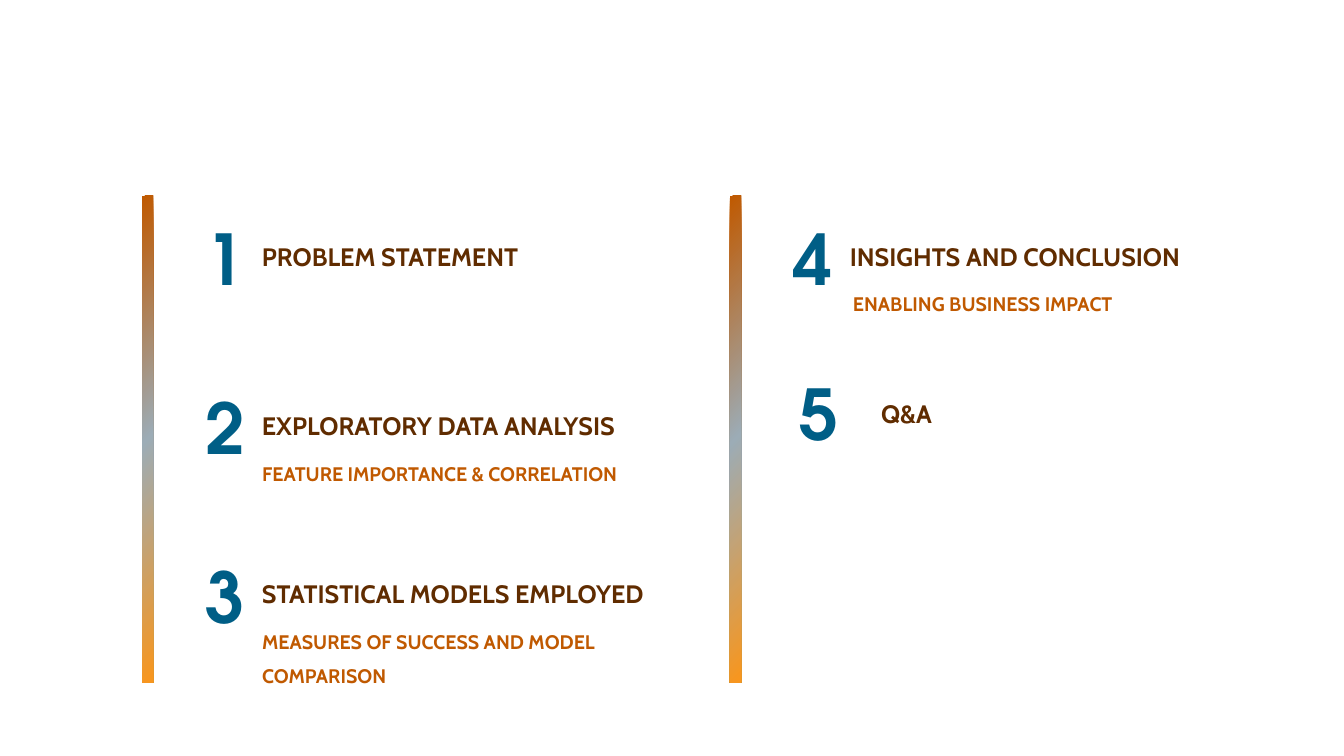
from copy import deepcopy
from dataclasses import dataclass

from pptx import Presentation
from pptx.dml.color import RGBColor
from pptx.enum.shapes import MSO_SHAPE
from pptx.enum.text import MSO_ANCHOR, MSO_AUTO_SIZE
from pptx.oxml.ns import qn
from pptx.slide import Slide
from pptx.util import Inches, Pt

BLUE, BROWN, ORANGE = "005E86", "602C00", "C05900"
BAR_STOPS = [(0, "C05900"), (50, "9CACB6"), (99, "F7961F"), (100, "F7961F")]
BAR_LEFTS = (1.41, 7.24)


@dataclass(frozen=True)
class TextStyle:
    font: str
    size: int
    color: str
    inset_x: float = 0.1
    inset_y: float = 0.05
    anchor: MSO_ANCHOR = MSO_ANCHOR.TOP
    line_spacing: float = 1.0


NUMBER = TextStyle("TeX Gyre Adventor", 50, BLUE)
HEADING = TextStyle("Cabin", 18, BROWN, anchor=MSO_ANCHOR.BOTTOM)
DETAIL = TextStyle("Cabin", 14, ORANGE, 0.05, 0.02, line_spacing=1.43)


@dataclass(frozen=True)
class AgendaItem:
    number: int
    left: float
    top: float
    heading: str
    heading_width: float
    heading_dx: float = 0.56
    heading_dy: float = 0.25
    detail: str = ""
    detail_dx: float = 0.61
    detail_width: float = 3.57
    detail_height: float = 0.29


AGENDA = [
    AgendaItem(1, 1.94, 2.09, "PROBLEM STATEMENT", 3.26),
    AgendaItem(2, 1.94, 3.77, "EXPLORATORY DATA ANALYSIS", 4.27,
               detail="FEATURE IMPORTANCE & CORRELATION", detail_width=4.13),
    AgendaItem(3, 1.94, 5.44, "STATISTICAL MODELS EMPLOYED", 4.51,
               detail="MEASURES OF SUCCESS AND MODEL COMPARISON", detail_height=0.62),
    AgendaItem(4, 7.77, 2.09, "INSIGHTS AND CONCLUSION", 4.13,
               detail="ENABLING BUSINESS IMPACT", detail_dx=0.64),
    AgendaItem(5, 7.83, 3.63, "Q&A", 0.82, heading_dx=0.81, heading_dy=0.27),
]


def rgb(color: str) -> RGBColor:
    return RGBColor.from_string(color)


def add_bar(slide: Slide, left: float) -> None:
    bar = slide.shapes.add_shape(
        MSO_SHAPE.RECTANGLE, Inches(left), Inches(1.94), Inches(0.11), Inches(4.83))
    bar.shadow.inherit = False
    bar.line.fill.background()
    bar.fill.gradient()
    bar.fill.gradient_angle = 315
    stop_list = bar._element.spPr.find(".//" + qn("a:gsLst"))
    while len(stop_list) < len(BAR_STOPS):
        stop_list.append(deepcopy(stop_list[0]))
    for stop, (position, color) in zip(bar.fill.gradient_stops, BAR_STOPS):
        stop.position = position / 100
        stop.color.rgb = rgb(color)


def add_text(slide: Slide, text: str, style: TextStyle,
             left: float, top: float, width: float, height: float) -> None:
    box = slide.shapes.add_textbox(
        Inches(left), Inches(top), Inches(width), Inches(height))
    frame = box.text_frame
    frame.word_wrap = True
    frame.auto_size = MSO_AUTO_SIZE.SHAPE_TO_FIT_TEXT
    frame.vertical_anchor = style.anchor
    frame.margin_left = frame.margin_right = Inches(style.inset_x)
    frame.margin_top = frame.margin_bottom = Inches(style.inset_y)
    paragraph = frame.paragraphs[0]
    paragraph.text = text
    paragraph.line_spacing = style.line_spacing
    paragraph.font.name = style.font
    paragraph.font.size = Pt(style.size)
    paragraph.font.bold = True
    paragraph.font.color.rgb = rgb(style.color)


def add_agenda_item(slide: Slide, item: AgendaItem) -> None:
    add_text(slide, str(item.number), NUMBER, item.left, item.top, 0.62, 0.94)
    add_text(slide, item.heading, HEADING, item.left + item.heading_dx,
             item.top + item.heading_dy, item.heading_width, 0.4)
    if item.detail:
        add_text(slide, item.detail, DETAIL, item.left + item.detail_dx,
                 item.top + 0.69, item.detail_width, item.detail_height)


def main() -> None:
    presentation = Presentation()
    presentation.slide_width = Inches(13.33)
    presentation.slide_height = Inches(7.5)
    slide = presentation.slides.add_slide(presentation.slide_layouts[6])
    for left in BAR_LEFTS:
        add_bar(slide, left)
    for item in AGENDA:
        add_agenda_item(slide, item)
    presentation.save("out.pptx")


if __name__ == "__main__":
    main()
